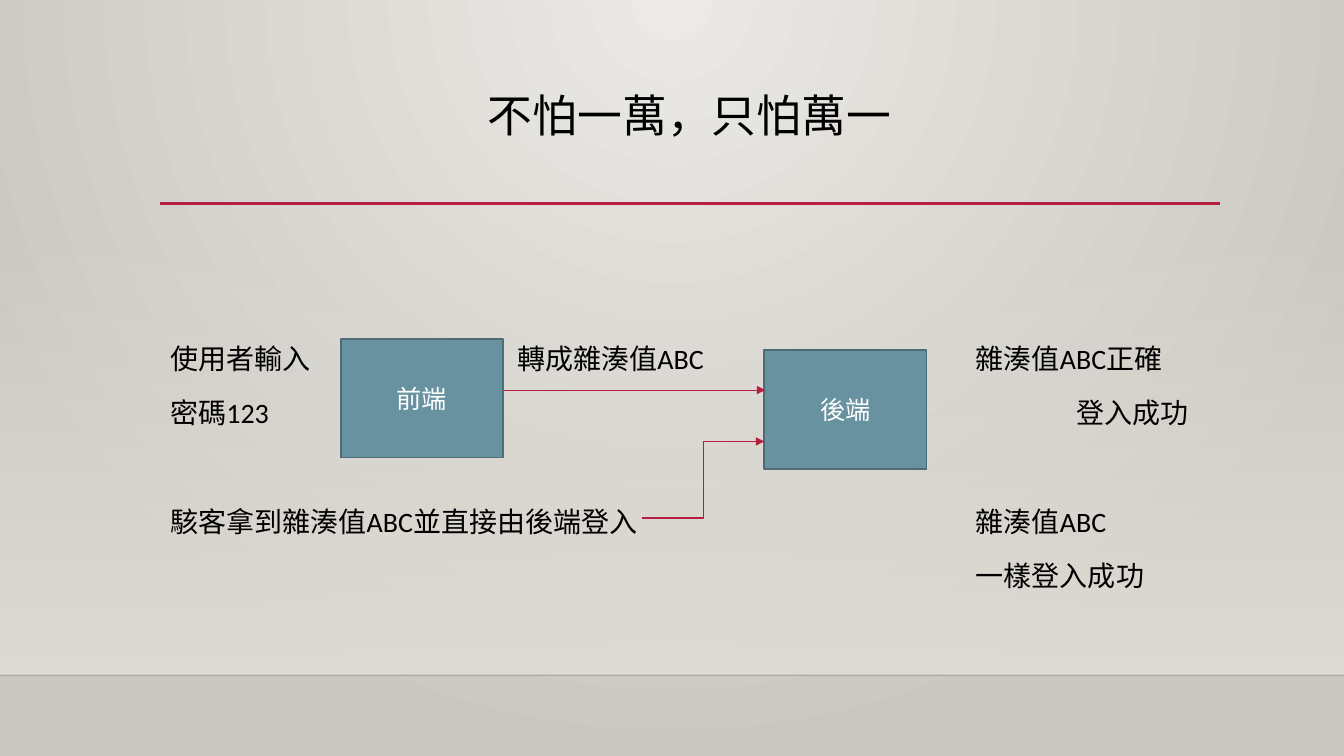
from dataclasses import dataclass

from pptx import Presentation
from pptx.dml.color import RGBColor
from pptx.enum.shapes import MSO_CONNECTOR, MSO_SHAPE
from pptx.enum.text import MSO_ANCHOR, PP_ALIGN
from pptx.oxml import parse_xml
from pptx.oxml.ns import nsdecls, qn
from pptx.oxml.xmlchemy import OxmlElement
from pptx.util import Inches, Pt

RECT = MSO_SHAPE.RECTANGLE
STRAIGHT, ELBOW = MSO_CONNECTOR.STRAIGHT, MSO_CONNECTOR.ELBOW
LEFT, CENTER = PP_ALIGN.LEFT, PP_ALIGN.CENTER
TOP, MIDDLE = MSO_ANCHOR.TOP, MSO_ANCHOR.MIDDLE

WIDTH, HEIGHT = 13.33, 7.5
FLOOR_Y = 6.7
BODY_TOP, ROW_PITCH = 2.19, 0.54
BOX_W, BOX_H = 1.61, 1.18


@dataclass(frozen=True)
class Theme:
    font: str = "Calibri"
    title_size: int = 32
    note_size: int = 20
    box_size: int = 18
    text: str = "000000"
    box_text: str = "FFFFFF"
    box_fill: str = "6892A0"
    box_line: str = "4D6C76"
    accent: str = "B71E42"
    floor_line: str = "000001"
    wall: str = "DFDBD5"
    glow: str = "ECEAE7"
    edge: str = "CAC7C1"


class SlideBuilder:
    def __init__(self, s, theme):
        self.s = s
        self.theme = theme

    def gradient(self, fill, root, stops, direction):
        """Fill with (position, colour, opacity) stops in percent; root holds the fill's XML."""
        fill.solid()
        old = root.find(".//" + qn("a:solidFill"))
        marks = "".join(
            f'<a:gs pos="{pos * 1000}"><a:srgbClr val="{color}">'
            f'<a:alpha val="{opacity * 1000}"/></a:srgbClr></a:gs>'
            for pos, color, opacity in stops)
        new = parse_xml(f'<a:gradFill {nsdecls("a")} rotWithShape="1">'
                        f"<a:gsLst>{marks}</a:gsLst>{direction}</a:gradFill>")
        old.getparent().replace(old, new)

    def backdrop(self):
        t = self.theme
        self.gradient(
            self.s.background.fill, self.s.element,
            [(0, t.glow, 100), (100, t.edge, 100)],
            '<a:path path="circle"><a:fillToRect l="43000" r="43000" b="100000"/></a:path>')
        sp = self.shape(0, 2.21, WIDTH, FLOOR_Y - 2.21)
        self.gradient(sp.fill, sp.element.spPr,
                      [(0, t.wall, 0), (100, t.wall, 100)],
                      '<a:lin ang="5400000" scaled="0"/>')
        sp.line.fill.background()

    def shape(self, x, y, w, h):
        sp = self.s.shapes.add_shape(RECT, Inches(x), Inches(y), Inches(w), Inches(h))
        sp.shadow.inherit = False
        return sp

    def set_text(self, sp, lines, size, color, align=LEFT, anchor=TOP, spacing=1.0, before=0):
        tf = sp.text_frame
        tf.word_wrap = True
        tf.vertical_anchor = anchor
        tf.text = "\n".join(lines)
        for p in tf.paragraphs:
            p.alignment = align
            p.line_spacing = spacing
            p.space_before = Pt(before)
            p.font.name = self.theme.font
            p.font.size = Pt(size)
            p.font.color.rgb = RGBColor.from_string(color)
        return tf

    def textbox(self, x, y, w, h):
        return self.s.shapes.add_textbox(Inches(x), Inches(y), Inches(w), Inches(h))

    def title(self, text):
        self.set_text(self.textbox(1.59, 0.88, 10.5, 1.15), [text],
                      self.theme.title_size, self.theme.text, CENTER, spacing=0.9)

    def note(self, x, row, w, *lines, last_indent=0):
        """Place lines on the body's row grid, with the last one indented if asked."""
        sp = self.textbox(x, BODY_TOP + row * ROW_PITCH, w, len(lines) * ROW_PITCH + 0.1)
        tf = self.set_text(sp, lines, self.theme.note_size, self.theme.text,
                           spacing=1.2, before=10)
        if last_indent:
            pPr = tf.paragraphs[-1]._p.get_or_add_pPr()
            pPr.set("marL", str(Inches(last_indent)))

    def box(self, x, y, label):
        t = self.theme
        sp = self.shape(x, y, BOX_W, BOX_H)
        sp.fill.solid()
        sp.fill.fore_color.rgb = RGBColor.from_string(t.box_fill)
        sp.line.color.rgb = RGBColor.from_string(t.box_line)
        sp.line.width = Pt(1.25)
        self.set_text(sp, [label], t.box_size, t.box_text, CENTER, MIDDLE)

    def line(self, start, end, color, width, kind=STRAIGHT, arrow=False, opacity=100):
        cx = self.s.shapes.add_connector(kind, *map(Inches, start + end))
        cx.line.color.rgb = RGBColor.from_string(color)
        cx.line.width = Pt(width)
        ln = cx.line._get_or_add_ln()
        if opacity < 100:
            alpha = OxmlElement("a:alpha")
            alpha.set("val", str(opacity * 1000))
            ln.find(".//" + qn("a:srgbClr")).append(alpha)
        if arrow:
            tail = OxmlElement("a:tailEnd")
            tail.set("type", "triangle")
            ln.append(tail)
        cx._element.spPr.append(OxmlElement("a:effectLst"))


def main():
    prs = Presentation()
    prs.slide_width, prs.slide_height = Inches(WIDTH), Inches(HEIGHT)
    theme = Theme()
    b = SlideBuilder(prs.slides.add_slide(prs.slide_layouts[6]), theme)

    b.backdrop()
    b.line((0, FLOOR_Y), (WIDTH, FLOOR_Y), theme.floor_line, 1, opacity=20)
    b.line((1.59, 2.02), (12.1, 2.02), theme.accent, 2.5)
    b.title("不怕一萬，只怕萬一")

    b.note(1.59, 2, 1.75, "使用者輸入", "密碼123")
    b.note(5.03, 2, 2.5, "轉成雜湊值ABC")
    b.note(9.58, 2, 2.6, "雜湊值ABC正確", "登入成功", last_indent=1)
    b.note(1.59, 5, 5.4, "駭客拿到雜湊值ABC並直接由後端登入")
    b.note(9.58, 5, 2.6, "雜湊值ABC", "一樣登入成功")

    b.box(3.38, 3.36, "前端")
    b.box(7.58, 3.47, "後端")
    b.line((5, 3.87), (7.59, 3.87), theme.accent, 0.75, arrow=True)
    b.line((6.37, 5.14), (7.58, 4.38), theme.accent, 0.75, ELBOW, arrow=True)

    prs.save("out.pptx")


if __name__ == "__main__":
    main()
